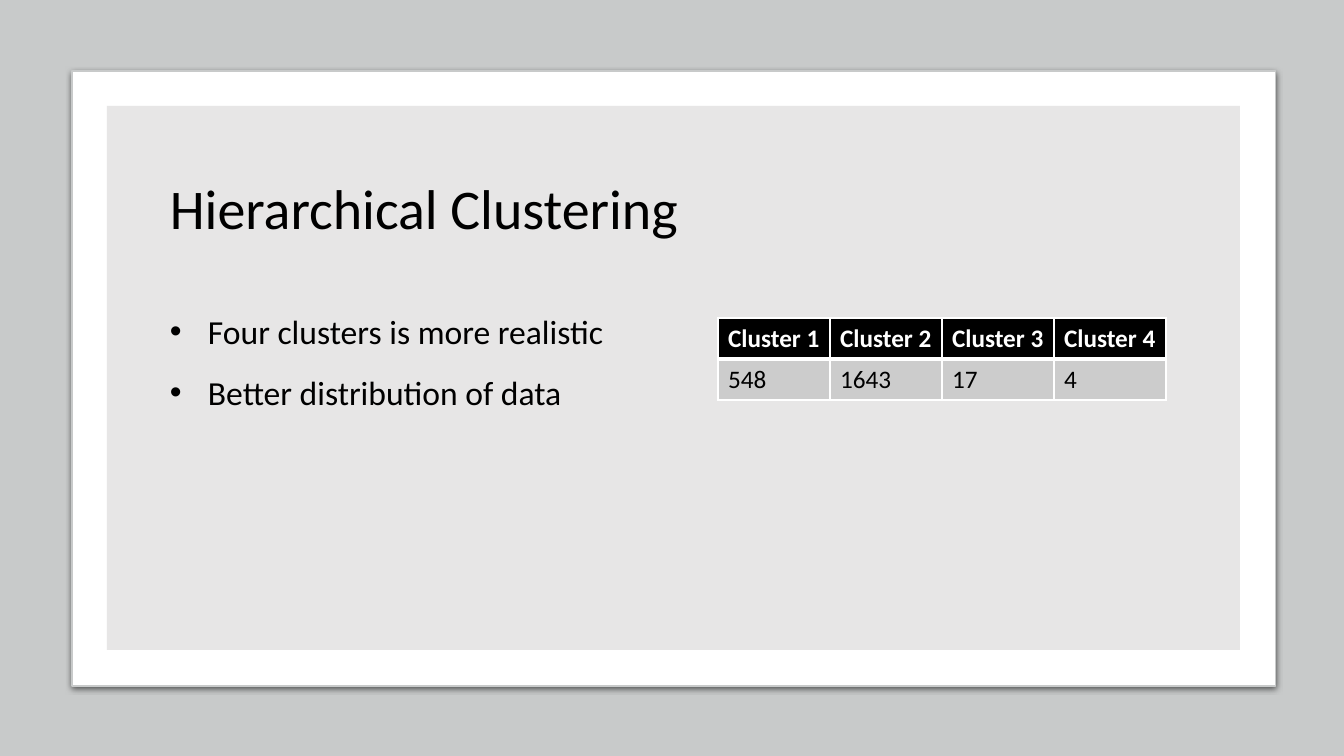
from lxml import etree
from pptx import Presentation, util as u
from pptx.dml.color import RGBColor
from pptx.enum import shapes, text
from pptx.oxml import parse_xml
from pptx.oxml.ns import qn, nsdecls

# Content
TITLE = "Hierarchical Clustering"
BULLETS = ["Four clusters is more realistic", "Better distribution of data"]
TABLE = [
    ["Cluster 1", "Cluster 2", "Cluster 3", "Cluster 4"],
    ["548", "1643", "17", "4"],
]

# Format, lengths in px
FONT = "Calibri"
COLORS = {"backdrop": "C8CACA", "card": "FFFFFF", "panel": "E7E6E6",
          "ink": "000000", "white": "FFFFFF", "cell": "CCCCCC"}
SLIDE = (1344, 756)
CARD = (72, 71, 1204, 615)
PANEL = (107, 106, 1133, 544)
TITLE_BOX = (160, 154, 1031, 115)
BULLET_BOX = (160, 286, 483, 346)
TABLE_AT = (718, 318)
COLUMN, ROW = 112, 41
INDENT = 38


def px(value):
    return u.Emu(round(value * 914400 / 100.8))


def color(name):
    return RGBColor.from_string(COLORS[name])


def write(frame, lines, size, ink="ink", bold=False, spacing=1.0, bullet=None):
    for index, line in enumerate(lines):
        paragraph = frame.add_paragraph() if index else frame.paragraphs[0]
        if bullet:
            properties = paragraph._p.get_or_add_pPr()
            properties.set("marL", str(px(INDENT)))
            properties.set("indent", str(-px(INDENT)))
            etree.SubElement(properties, qn("a:buFont")).set("typeface", "Arial")
            etree.SubElement(properties, qn("a:buChar")).set("char", bullet)
        paragraph.line_spacing = spacing
        run = paragraph.add_run()
        run.text = line
        run.font.name, run.font.size, run.font.bold = FONT, u.Pt(size), bold
        run.font.color.rgb = color(ink)


def add_panel(slide, box, fill, kind=shapes.MSO_SHAPE.RECTANGLE):
    shape = slide.shapes.add_shape(kind, *map(px, box))
    shape.shadow.inherit = False
    shape.fill.solid()
    shape.fill.fore_color.rgb = color(fill)
    shape.line.fill.background()
    return shape


def add_text(slide, box, lines, anchor=text.MSO_ANCHOR.TOP, **style):
    frame = slide.shapes.add_textbox(*map(px, box)).text_frame
    frame.word_wrap = True
    frame.vertical_anchor = anchor
    write(frame, lines, **style)


def add_border(cell, side, width):
    cell._tc.get_or_add_tcPr().append(parse_xml(
        f'<a:{side} {nsdecls("a")} w="{u.Pt(width)}"><a:solidFill>'
        f'<a:srgbClr val="{COLORS["white"]}"/></a:solidFill></a:{side}>'))


def main():
    presentation = Presentation()
    presentation.slide_width, presentation.slide_height = map(px, SLIDE)
    slide = presentation.slides.add_slide(presentation.slide_layouts[6])

    # Backdrop, framed card and inner panel
    add_panel(slide, (0, 0, *SLIDE), "backdrop")
    card = add_panel(slide, CARD, "card", shapes.MSO_SHAPE.ROUNDED_RECTANGLE)
    card.adjustments[0] = 0
    card.line.color.rgb = color("backdrop")
    card.line.width = u.Pt(0.75)
    effects = card._element.spPr.find(qn("a:effectLst"))
    effects.append(parse_xml(
        f'<a:outerShdw {nsdecls("a")} blurRad="{u.Pt(4.5)}" dist="{u.Pt(1.5)}" '
        f'dir="5400000" algn="ctr" rotWithShape="0"><a:srgbClr val="{COLORS["ink"]}">'
        '<a:alpha val="63000"/></a:srgbClr></a:outerShdw>'))
    add_panel(slide, PANEL, "panel")

    # Title and bullets
    add_text(slide, TITLE_BOX, [TITLE], text.MSO_ANCHOR.MIDDLE, size=40, spacing=0.9)
    add_text(slide, BULLET_BOX, BULLETS, size=24, spacing=1.5, bullet="•")

    # Cluster sizes
    rows, columns = len(TABLE), len(TABLE[0])
    table = slide.shapes.add_table(
        rows, columns, *map(px, (*TABLE_AT, columns * COLUMN, rows * ROW))).table
    for column in table.columns:
        column.width = px(COLUMN)
    for r, values in enumerate(TABLE):
        table.rows[r].height = px(ROW)
        header = r == 0
        for c, value in enumerate(values):
            cell = table.cell(r, c)
            write(cell.text_frame, [value], size=18, bold=header,
                  ink="white" if header else "ink")
            for side in ("lnL", "lnR", "lnT", "lnB"):
                heavy = side == ("lnB" if header else "lnT")
                add_border(cell, side, 3 if heavy else 1)
            cell.fill.solid()
            cell.fill.fore_color.rgb = color("ink" if header else "cell")

    presentation.save("out.pptx")


if __name__ == "__main__":
    main()
